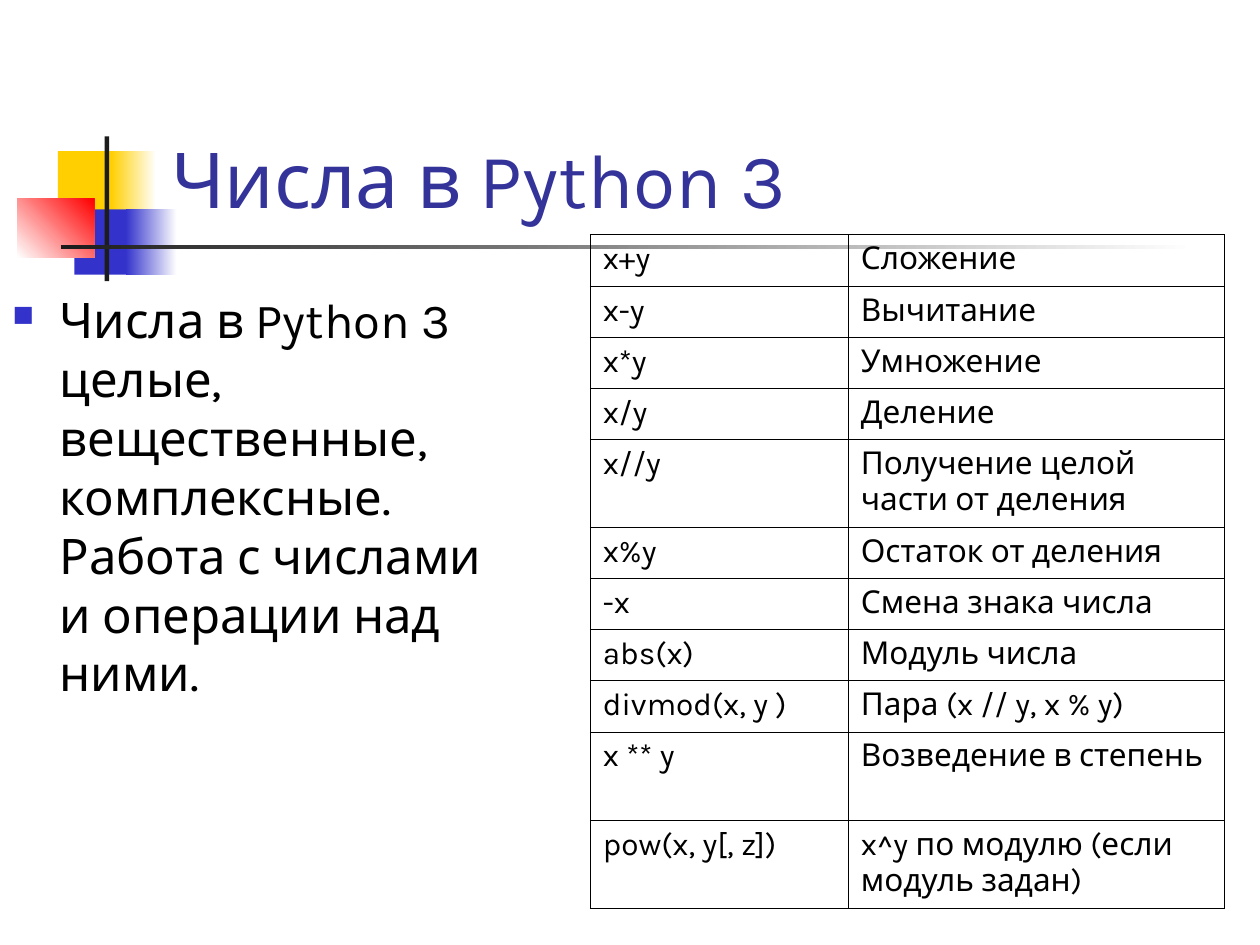
from lxml.etree import SubElement
from pptx import Presentation
from pptx.dml.color import RGBColor
from pptx.enum.shapes import MSO_SHAPE as Shape
from pptx.enum.text import MSO_ANCHOR as Anchor
from pptx.oxml import parse_xml
from pptx.oxml.ns import nsdecls, qn
from pptx.util import Cm, Pt

FONT = "Karla"
hex_color = RGBColor.from_string


def write(frame, text, size, color="000000", before=0, spacing=None):
    """Fill the frame's first paragraph and return it."""
    frame.word_wrap = True
    paragraph = frame.paragraphs[0]
    paragraph.space_before = Pt(before)
    if spacing:
        paragraph.line_spacing = spacing
    run = paragraph.add_run()
    run.text = text
    run.font.name = FONT
    run.font.size = Pt(size)
    run.font.color.rgb = hex_color(color)
    return paragraph


def border(cell, sides):
    """Draw black cell edges; sides maps L, R, T, B to a width in points."""
    properties = cell._tc.get_or_add_tcPr()
    for position, (side, width) in enumerate(sides.items()):
        properties.insert(position, parse_xml(
            f'<a:ln{side} {nsdecls("a")} w="{Pt(width)}"><a:solidFill>'
            f'<a:srgbClr val="000000"/></a:solidFill></a:ln{side}>'))


presentation = Presentation()
presentation.slide_width = Cm(25.4)
presentation.slide_height = Cm(19.05)
slide = presentation.slides.add_slide(presentation.slide_layouts[6])

# Decoration: left, top, width, height in cm, colours, gradient angle
ornament = [
    (1.17, 3.05, 1.22, 1.32, ["FFCF01"], 0),
    (2.24, 3.05, 0.91, 1.32, ["FFCF01", "FFFFFF"], 0),
    (1.5, 4.22, 1.17, 1.32, ["3333CC"], 0),
    (2.54, 4.22, 1.02, 1.32, ["3333CC", "FFFFFF"], 0),
    (0.35, 4.01, 1.55, 1.18, ["FFFFFF", "FF0000"], 45),
    (2.11, 2.75, 0.09, 2.92, ["1C1C1C"], 0),
    (1.23, 4.94, 22.86, 0.09, ["1C1C1C", "FFFFFF"], 0),
]
for *box, colors, angle in ornament:
    block = slide.shapes.add_shape(Shape.RECTANGLE, *map(Cm, box))
    block.shadow.inherit = False
    block.line.fill.background()
    if len(colors) == 1:
        block.fill.solid()
        block.fill.fore_color.rgb = hex_color(colors[0])
    else:
        block.fill.gradient()
        block.fill.gradient_angle = angle
        for stop, color, position in zip(block.fill.gradient_stops, colors, (0, 1)):
            stop.color.rgb = hex_color(color)
            stop.position = position

title = slide.shapes.add_textbox(Cm(3.2), Cm(0.58), Cm(21.64), Cm(4.06)).text_frame
title.vertical_anchor = Anchor.BOTTOM
write(title, "Числа в Python 3", 44, "333399")

summary = slide.shapes.add_textbox(Cm(0), Cm(5.72), Cm(10.6), Cm(11.43)).text_frame
summary_paragraph = write(
    summary,
    "Числа в Python 3 целые, вещественные, комплексные. "
    "Работа с числами и операции над ними.",
    28, before=7)
bullet = summary_paragraph._p.get_or_add_pPr()
bullet.set("marL", str(Cm(0.95)))
bullet.set("indent", str(-Cm(0.95)))
SubElement(SubElement(bullet, qn("a:buClr")), qn("a:srgbClr"), val="3333CC")
SubElement(bullet, qn("a:buSzPct"), val="60000")
SubElement(bullet, qn("a:buChar"), char="■")

# Operation, meaning, row height in cm
SHORT, TALL = 1.03, 1.78
operations = [
    ("x+y", "Сложение", SHORT),
    ("x-y", "Вычитание", SHORT),
    ("x*y", "Умножение", SHORT),
    ("x/y", "Деление", SHORT),
    ("x//y", "Получение целой части от деления", TALL),
    ("x%y", "Остаток от деления", SHORT),
    ("-x", "Смена знака числа", SHORT),
    ("abs(x)", "Модуль числа", SHORT),
    ("divmod(x, y )", "Пара (x // y, x % y)", SHORT),
    ("x ** y", "Возведение в степень", TALL),
    ("pow(x, y[, z])", "x^y по модулю (если модуль задан)", TALL),
]
column_widths = [5.2, 7.59]
OUTER, INNER = 0.5, 0.23
table = slide.shapes.add_table(
    len(operations), len(column_widths), Cm(11.9), Cm(4.73),
    Cm(sum(column_widths)), Cm(sum(height for *_, height in operations))).table
table.first_row = table.horz_banding = False
for column, width in zip(table.columns, column_widths):
    column.width = Cm(width)

last_row = len(operations) - 1
for row, (*texts, height) in enumerate(operations):
    table.rows[row].height = Cm(height)
    for column, text in enumerate(texts):
        cell = table.cell(row, column)
        cell.fill.background()
        write(cell.text_frame, text, 18, before=4.5, spacing=0.98)
        border(cell, {
            "L": OUTER if column == 0 else INNER,
            "R": OUTER if column == 1 else INNER,
            "T": OUTER if row == 0 else INNER,
            "B": OUTER if row == last_row else INNER,
        })

presentation.save("out.pptx")
